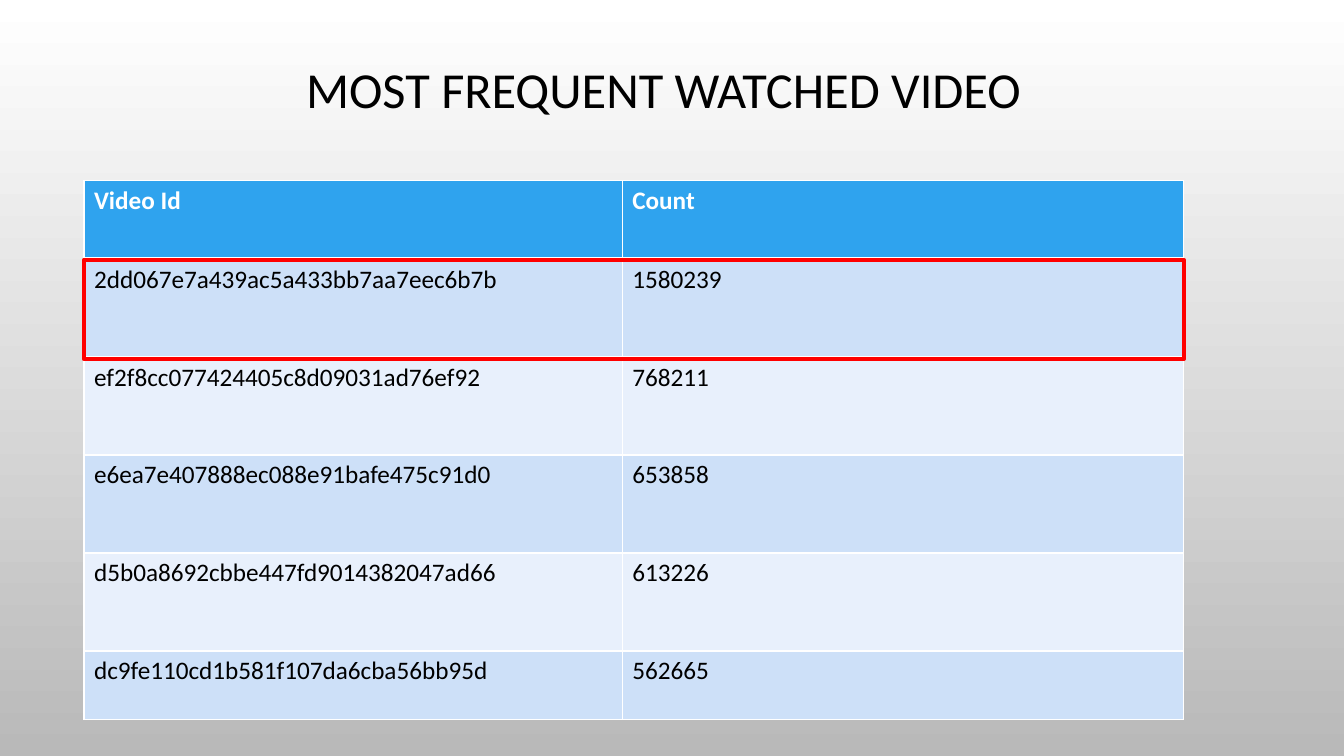
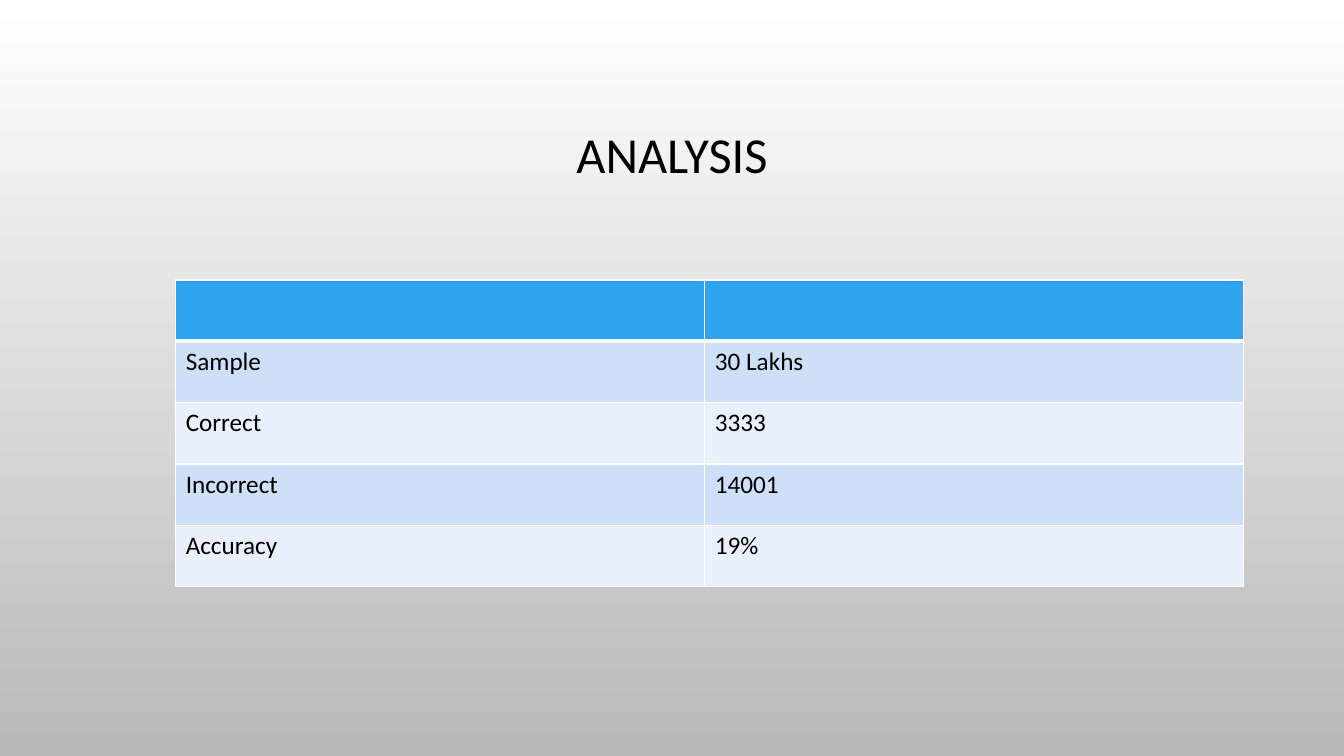
from lxml import etree
from pptx import Presentation
from pptx.dml.color import RGBColor
from pptx.enum.shapes import MSO_SHAPE
from pptx.enum.text import MSO_ANCHOR, PP_ALIGN
from pptx.oxml.ns import qn
from pptx.util import Pt

RECT = MSO_SHAPE.RECTANGLE
MIDDLE = MSO_ANCHOR.MIDDLE
CENTER = PP_ALIGN.CENTER

WHITE = RGBColor(0xFF, 0xFF, 0xFF)
BLACK = RGBColor(0x00, 0x00, 0x00)
GRAY = RGBColor(0xB9, 0xB9, 0xB9)
BLUE = RGBColor(0x2F, 0xA3, 0xEE)
BANDS = (RGBColor(0xCD, 0xE0, 0xF8), RGBColor(0xE8, 0xF0, 0xFC))
RED = RGBColor(0xFF, 0x00, 0x00)
FONT = "Calibri"

VIDEOS = [
    ("Video Id", "Count"),
    ("2dd067e7a439ac5a433bb7aa7eec6b7b", "1580239"),
    ("ef2f8cc077424405c8d09031ad76ef92", "768211"),
    ("e6ea7e407888ec088e91bafe475c91d0", "653858"),
    ("d5b0a8692cbbe447fd9014382047ad66", "613226"),
    ("dc9fe110cd1b581f107da6cba56bb95d", "562665"),
]
RESULTS = [
    ("", ""),
    ("Sample", "30 Lakhs"),
    ("Correct", "3333"),
    ("Incorrect", "14001"),
    ("Accuracy", "19%"),
]


def add_run(para, text, size, color, bold=False):
    run = para.add_run()
    run.text = text
    font = run.font
    font.name, font.size, font.bold = FONT, Pt(size), bold
    font.color.rgb = color


def add_slide(deck):
    slide = deck.slides.add_slide(deck.slide_layouts[6])
    fill = slide.background.fill
    fill.gradient()
    fill.gradient_angle = 270
    for stop, color, place in zip(fill.gradient_stops, (WHITE, GRAY), (0, 1)):
        stop.color.rgb = color
        stop.position = place
    return slide


def add_title(slide, text, left, top, width, height):
    box = slide.shapes.add_textbox(Pt(left), Pt(top), Pt(width), Pt(height))
    frame = box.text_frame
    frame.word_wrap = True
    frame.vertical_anchor = MIDDLE
    para = frame.paragraphs[0]
    para.alignment = CENTER
    para.line_spacing = 0.9
    add_run(para, text, 36, BLACK)


def add_border(cell, side, width):
    props = cell._tc.get_or_add_tcPr()
    line = etree.SubElement(props, qn("a:ln" + side), w=str(Pt(width)))
    fill = etree.SubElement(line, qn("a:solidFill"))
    etree.SubElement(fill, qn("a:srgbClr"), val=str(WHITE))


def style_cell(cell, text, row):
    head = row == 0
    widths = {"L": 1, "R": 1, "T": 3 if row == 1 else 1, "B": 3 if head else 1}
    for side, width in widths.items():
        add_border(cell, side, width)
    cell.fill.solid()
    cell.fill.fore_color.rgb = BLUE if head else BANDS[(row - 1) % 2]
    if text:
        para = cell.text_frame.paragraphs[0]
        add_run(para, text, 18, WHITE if head else BLACK, head)


def add_grid(slide, data, left, top, widths, heights):
    frame = slide.shapes.add_table(
        len(data), len(widths), Pt(left), Pt(top),
        Pt(sum(widths)), Pt(sum(heights)))
    table = frame.table
    for col, width in zip(table.columns, widths):
        col.width = Pt(width)
    for row, height in zip(table.rows, heights):
        row.height = Pt(height)
    for row, texts in enumerate(data):
        for col, text in enumerate(texts):
            style_cell(table.cell(row, col), text, row)


def add_frame(slide, left, top, width, height):
    box = slide.shapes.add_shape(RECT, Pt(left), Pt(top), Pt(width), Pt(height))
    box.shadow.inherit = False
    box.fill.background()
    box.line.color.rgb = RED
    box.line.width = Pt(3)


def main():
    deck = Presentation()
    deck.slide_width, deck.slide_height = Pt(960), Pt(540)

    slide = add_slide(deck)
    add_title(slide, "MOST FREQUENT WATCHED VIDEO", 60, 25, 828, 82)
    widths = [384.5, 401]
    add_grid(slide, VIDEOS, 60, 129, widths, [56] + [70] * 4 + [49])
    add_frame(slide, 60, 185.5, sum(widths), 71)

    slide = add_slide(deck)
    add_title(slide, "ANALYSIS", 72, 49, 816, 126)
    add_grid(slide, RESULTS, 125.5, 200, [378, 385], [43.8] * 5)

    deck.save("out.pptx")


if __name__ == "__main__":
    main()
